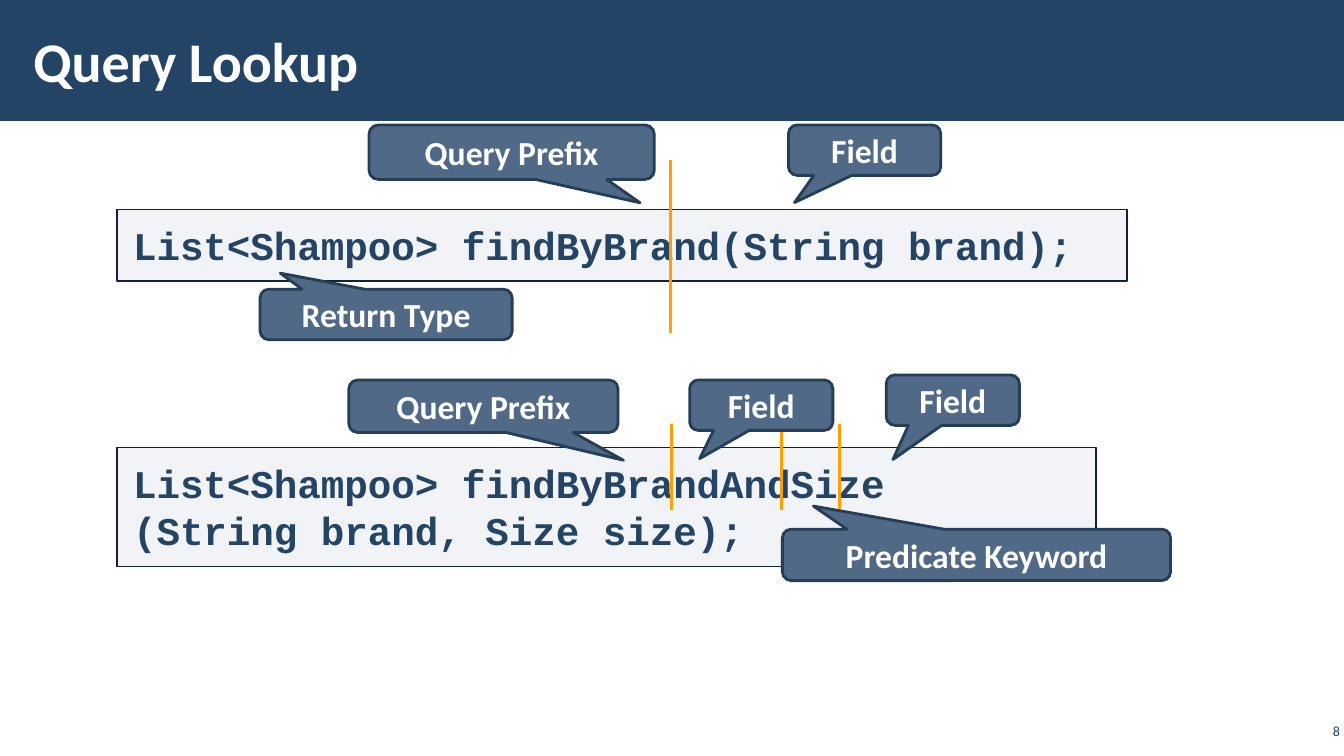
from dataclasses import dataclass
from typing import Any

from lxml import etree
from pptx import Presentation
from pptx import util as u
from pptx.dml.color import RGBColor
from pptx.enum import shapes, text
from pptx.oxml import ns


@dataclass(frozen=True)
class Theme:
    navy: str = "234465"
    white: str = "FFFFFF"
    callout_fill: str = "4F6987"
    callout_line: str = "253E57"
    code_fill: str = "ADB4C3"
    code_line: str = "112233"
    divider: str = "FFA000"
    sans: str = "Calibri"
    mono: str = "Courier New"
    title_size: int = 40
    code_size: int = 28
    label_size: int = 24
    number_size: int = 10
    code_opacity: int = 15


@dataclass(frozen=True)
class Area:
    left: float
    top: float
    width: float
    height: float

    def lengths(self) -> list[int]:
        return [u.Inches(n) for n in (self.left, self.top, self.width, self.height)]


@dataclass(frozen=True)
class Style:
    font: str
    size: int
    color: str
    bold: bool = True


@dataclass(frozen=True)
class Code:
    area: Area
    lines: tuple[str, ...]


@dataclass(frozen=True)
class Callout:
    label: str
    area: Area
    tip_x: float
    tip_y: float


@dataclass(frozen=True)
class Divider:
    x: float
    top: float
    bottom: float


THEME = Theme()
TITLE = Style(THEME.sans, THEME.title_size, THEME.white)
CODE = Style(THEME.mono, THEME.code_size, THEME.navy)
LABEL = Style(THEME.sans, THEME.label_size, THEME.white)
NUMBER = Style(THEME.sans, THEME.number_size, THEME.navy, False)

CODES = [
    Code(Area(1.16, 2.08, 10.02, 0.71), ("List<Shampoo> findByBrand(String brand);",)),
    Code(
        Area(1.16, 4.44, 9.71, 1.18),
        ("List<Shampoo> findByBrandAndSize", "(String brand, Size size);"),
    ),
]
DIVIDERS = [Divider(6.65, 1.59, 3.3)] + [
    Divider(x, 4.21, 5.06) for x in (6.66, 7.75, 8.33)
]
CALLOUTS = [
    Callout("Return Type", Area(2.58, 2.87, 2.5, 0.5), -0.42, -0.82),
    Callout("Field", Area(7.82, 1.24, 1.51, 0.5), -0.46, 1.04),
    Callout("Query Prefix", Area(3.66, 1.24, 2.83, 0.54), 0.45, 0.93),
    Callout("Query Prefix", Area(3.46, 3.77, 2.67, 0.52), 0.52, 1.03),
    Callout("Field", Area(6.84, 3.77, 1.42, 0.5), -0.43, 1.06),
    Callout("Predicate Keyword", Area(7.76, 5.25, 3.85, 0.51), -0.42, -0.95),
    Callout("Field", Area(8.79, 3.72, 1.32, 0.5), -0.45, 1.18),
]


def rgb(color: str) -> RGBColor:
    return RGBColor.from_string(color)


def apply(target: Any, values: dict[str, Any]) -> None:
    for name, value in values.items():
        setattr(target, name, value)


def write(
    box: Any,
    lines: tuple[str, ...],
    style: Style,
    align: text.PP_ALIGN = text.PP_ALIGN.LEFT,
    anchor: text.MSO_ANCHOR = text.MSO_ANCHOR.MIDDLE,
    inset_x: float = 0.1,
    inset_y: float = 0.05,
) -> None:
    frame = box.text_frame
    apply(frame, {
        "word_wrap": True,
        "vertical_anchor": anchor,
        "margin_left": u.Inches(inset_x),
        "margin_right": u.Inches(inset_x),
        "margin_top": u.Inches(inset_y),
        "margin_bottom": u.Inches(inset_y),
    })
    para = frame.paragraphs[0]
    para.alignment = align
    for index, line in enumerate(lines):
        if index:
            para.add_line_break()
        span = para.add_run()
        span.text = line
        apply(span.font, {
            "name": style.font, "size": u.Pt(style.size), "bold": style.bold,
        })
        span.font.color.rgb = rgb(style.color)


def add_box(
    page: Any,
    kind: shapes.MSO_SHAPE,
    area: Area,
    fill: str,
    line: str | None = None,
    line_width: float = 1,
) -> Any:
    box = page.shapes.add_shape(kind, *area.lengths())
    box.shadow.inherit = False
    box.fill.solid()
    box.fill.fore_color.rgb = rgb(fill)
    if line is None:
        box.line.fill.background()
    else:
        box.line.color.rgb = rgb(line)
        box.line.width = u.Pt(line_width)
    return box


def add_code(page: Any, code: Code) -> None:
    box = add_box(
        page, shapes.MSO_SHAPE.RECTANGLE, code.area, THEME.code_fill, THEME.code_line
    )
    color = box.fill._xPr.find(ns.qn("a:solidFill"))[0]
    alpha = etree.SubElement(color, ns.qn("a:alpha"))
    alpha.set("val", str(THEME.code_opacity * 1000))
    write(box, code.lines, CODE, anchor=text.MSO_ANCHOR.TOP, inset_x=0.16, inset_y=0.12)
    box.text_frame.auto_size = text.MSO_AUTO_SIZE.SHAPE_TO_FIT_TEXT


def add_divider(page: Any, divider: Divider) -> None:
    x = u.Inches(divider.x)
    line = page.shapes.add_connector(
        shapes.MSO_CONNECTOR.STRAIGHT,
        x, u.Inches(divider.top), x, u.Inches(divider.bottom),
    )
    line.line.color.rgb = rgb(THEME.divider)
    line.line.width = u.Pt(2)
    etree.SubElement(line._element.spPr, ns.qn("a:effectLst"))


def add_callout(page: Any, callout: Callout) -> None:
    box = add_box(
        page, shapes.MSO_SHAPE.ROUNDED_RECTANGULAR_CALLOUT, callout.area,
        THEME.callout_fill, THEME.callout_line, 2,
    )
    for index, value in enumerate((callout.tip_x, callout.tip_y, 0.17)):
        box.adjustments[index] = value
    write(box, (callout.label,), LABEL, text.PP_ALIGN.CENTER)


def main() -> None:
    deck = Presentation()
    apply(deck, {"slide_width": u.Inches(13.33), "slide_height": u.Inches(7.5)})
    page = deck.slides.add_slide(deck.slide_layouts[6])
    add_box(page, shapes.MSO_SHAPE.RECTANGLE, Area(0, 0, 13.33, 1.2), THEME.navy)
    title = page.shapes.add_textbox(*Area(0.21, 0.11, 10.39, 0.97).lengths())
    write(title, ("Query Lookup",), TITLE, inset_x=0.12, inset_y=0.04)
    number = page.shapes.add_textbox(*Area(12.86, 7.14, 0.47, 0.22).lengths())
    write(number, ("8",), NUMBER, text.PP_ALIGN.RIGHT, inset_x=0.04, inset_y=0.04)
    for code in CODES:
        add_code(page, code)
    for divider in DIVIDERS:
        add_divider(page, divider)
    for callout in CALLOUTS:
        add_callout(page, callout)
    deck.save("out.pptx")


if __name__ == "__main__":
    main()
